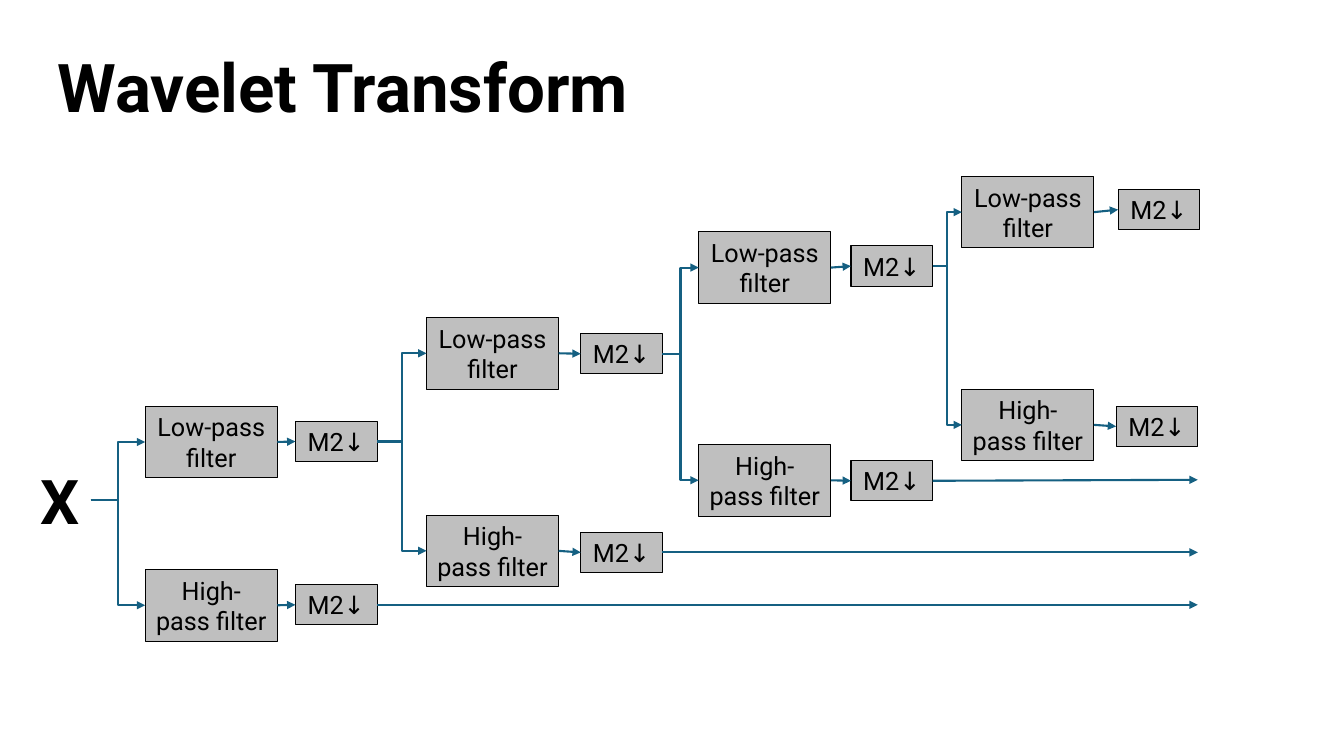
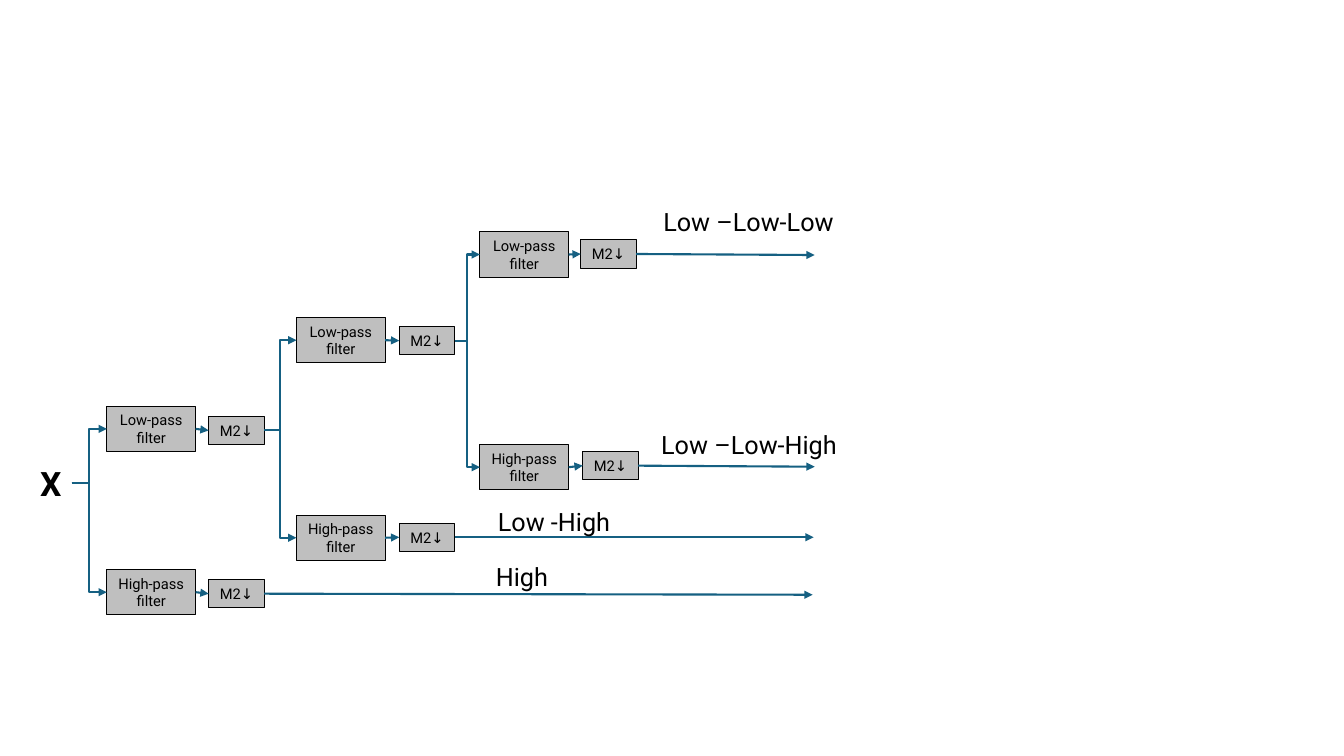
from dataclasses import dataclass
from typing import NamedTuple, Optional

from lxml.etree import SubElement
from pptx import Presentation
from pptx.dml.color import RGBColor
from pptx.enum.shapes import MSO_CONNECTOR, MSO_SHAPE
from pptx.enum.text import MSO_ANCHOR, MSO_AUTO_SIZE, PP_ALIGN
from pptx.oxml.ns import qn
from pptx.shapes.autoshape import Shape
from pptx.shapes.connector import Connector
from pptx.slide import Slide
from pptx.util import Emu, Pt

EMU_PER_PX = 9144
RIGHT_SIDE, LEFT_SIDE = 3, 1


@dataclass(frozen=True)
class Theme:
    """Colours, font, type sizes and line widths shared by the slides."""

    font: str = "Roboto"
    ink: RGBColor = RGBColor(0x00, 0x00, 0x00)
    block: RGBColor = RGBColor(0xBF, 0xBF, 0xBF)
    arrow: RGBColor = RGBColor(0x15, 0x60, 0x82)
    title_size: float = 48
    label_size: float = 18
    block_line: float = 0.75
    arrow_line: float = 1.5


THEME = Theme()


class Point(NamedTuple):
    """A position in px."""

    x: int
    y: int


class Size(NamedTuple):
    """A width and height in px."""

    width: int
    height: int


class Branch(NamedTuple):
    """A filter, its downsampler and the end of its output arrow."""

    filter_top: int
    sampler: Point
    output: Optional[Point] = None


class Stage(NamedTuple):
    """One split of the signal into a low and a high band."""

    filter_left: int
    low: Branch
    high: Branch


class Label(NamedTuple):
    """The name of an output band."""

    text: str
    at: Point
    width: int


@dataclass(frozen=True)
class FilterBank:
    """A cascade of stages with its sizes and band labels."""

    signal_box: Size
    signal_size: float
    filter_box: Size
    sampler_box: Size
    block_size: float
    stages: tuple[Stage, ...]
    labels: tuple[Label, ...] = ()


SIGNAL_AT = Point(30, 454)
LABEL_HEIGHT = 40

FOUR_STAGES = FilterBank(
    Size(60, 84), 44, Size(131, 71), Size(81, 40), 18,
    (
        Stage(144, Branch(403, Point(293, 418)),
              Branch(565, Point(293, 580), Point(1188, 600))),
        Stage(423, Branch(315, Point(576, 331)),
              Branch(511, Point(576, 528), Point(1188, 548))),
        Stage(693, Branch(230, Point(844, 244)),
              Branch(441, Point(844, 457), Point(1188, 476))),
        Stage(954, Branch(175, Point(1109, 188)),
              Branch(386, Point(1107, 403))),
    ),
)

THREE_STAGES = FilterBank(
    Size(41, 50), 24, Size(88, 45), Size(55, 28), 10.5,
    (
        Stage(106, Branch(403, Point(207, 413)),
              Branch(565, Point(207, 575), Point(806, 590))),
        Stage(294, Branch(315, Point(396, 324)),
              Branch(511, Point(396, 519), Point(807, 533))),
        Stage(476, Branch(230, Point(576, 238), Point(808, 253)),
              Branch(441, Point(578, 448), Point(808, 463))),
    ),
    (
        Label("Low –Low-Low", Point(648, 200), 212),
        Label("Low –Low-High", Point(646, 421), 216),
        Label("Low -High", Point(484, 497), 216),
        Label("High", Point(482, 552), 216),
    ),
)


def px(length: int) -> Emu:
    """Turn px into EMU."""
    return Emu(length * EMU_PER_PX)


def write(shape: Shape, text: str, size: float, bold: bool = False,
          align: PP_ALIGN = PP_ALIGN.LEFT,
          anchor: MSO_ANCHOR = MSO_ANCHOR.TOP, wrap: bool = True) -> None:
    """Put one formatted run of text in a shape."""
    frame = shape.text_frame
    frame.auto_size = MSO_AUTO_SIZE.NONE
    frame.word_wrap = wrap
    frame.vertical_anchor = anchor
    paragraph = frame.paragraphs[0]
    paragraph.alignment = align
    run = paragraph.add_run()
    run.text = text
    run.font.name = THEME.font
    run.font.size = Pt(size)
    run.font.bold = bold
    run.font.color.rgb = THEME.ink


def add_title(slide: Slide, text: str) -> None:
    """Place and write the slide title."""
    title = slide.shapes.title
    title.left, title.top = px(47), px(40)
    title.width, title.height = px(592), px(91)
    write(title, text, THEME.title_size, bold=True, wrap=False)


def add_text(slide: Slide, text: str, at: Point, box: Size, size: float,
             bold: bool = False) -> Shape:
    """Add a plain text box."""
    caption = slide.shapes.add_textbox(*map(px, (*at, *box)))
    write(caption, text, size, bold)
    return caption


def add_block(slide: Slide, text: str, at: Point, box: Size,
              size: float) -> Shape:
    """Add a grey processing block."""
    block = slide.shapes.add_shape(MSO_SHAPE.RECTANGLE, *map(px, (*at, *box)))
    block.shadow.inherit = False
    block.fill.solid()
    block.fill.fore_color.rgb = THEME.block
    block.line.color.rgb = THEME.ink
    block.line.width = Pt(THEME.block_line)
    write(block, text, size, align=PP_ALIGN.CENTER, anchor=MSO_ANCHOR.MIDDLE)
    return block


def add_arrow(slide: Slide, kind: MSO_CONNECTOR, source: Shape,
              end: Point) -> Connector:
    """Add an arrow from the right side of a shape to a point."""
    arrow = slide.shapes.add_connector(
        kind, source.left + source.width, source.top + source.height // 2,
        px(end.x), px(end.y))
    arrow.begin_connect(source, RIGHT_SIDE)
    arrow.line.color.rgb = THEME.arrow
    arrow.line.width = Pt(THEME.arrow_line)
    SubElement(arrow.get_or_add_ln(), qn("a:tailEnd"), type="triangle")
    SubElement(arrow.element.spPr, qn("a:effectLst"))
    return arrow


def add_branch(slide: Slide, bank: FilterBank, source: Shape, left: int,
               branch: Branch, name: str) -> Shape:
    """Draw one branch and return its downsampler."""
    filter_at = Point(left, branch.filter_top)
    band_filter = add_block(slide, name, filter_at, bank.filter_box,
                            bank.block_size)
    sampler = add_block(slide, "M2↓", branch.sampler, bank.sampler_box,
                        bank.block_size)
    split = add_arrow(slide, MSO_CONNECTOR.ELBOW, source, filter_at)
    split.end_connect(band_filter, LEFT_SIDE)
    step = add_arrow(slide, MSO_CONNECTOR.STRAIGHT, band_filter,
                     branch.sampler)
    step.end_connect(sampler, LEFT_SIDE)
    if branch.output:
        add_arrow(slide, MSO_CONNECTOR.STRAIGHT, sampler, branch.output)
    return sampler


def add_filter_bank(slide: Slide, bank: FilterBank) -> None:
    """Draw the signal, every stage and the band labels."""
    source = add_text(slide, "X", SIGNAL_AT, bank.signal_box,
                      bank.signal_size, bold=True)
    for stage in bank.stages:
        add_branch(slide, bank, source, stage.filter_left, stage.high,
                   "High-pass filter")
        source = add_branch(slide, bank, source, stage.filter_left, stage.low,
                            "Low-pass filter")
    for label in bank.labels:
        add_text(slide, label.text, label.at, Size(label.width, LABEL_HEIGHT),
                 THEME.label_size)


def main() -> None:
    """Build and save the presentation."""
    deck = Presentation()
    deck.slide_width, deck.slide_height = px(1333), px(750)
    title_only, blank = deck.slide_layouts[5], deck.slide_layouts[6]

    transform = deck.slides.add_slide(title_only)
    add_title(transform, "Wavelet Transform")
    add_filter_bank(transform, FOUR_STAGES)

    bands = deck.slides.add_slide(blank)
    add_filter_bank(bands, THREE_STAGES)
    deck.save("out.pptx")


if __name__ == "__main__":
    main()
